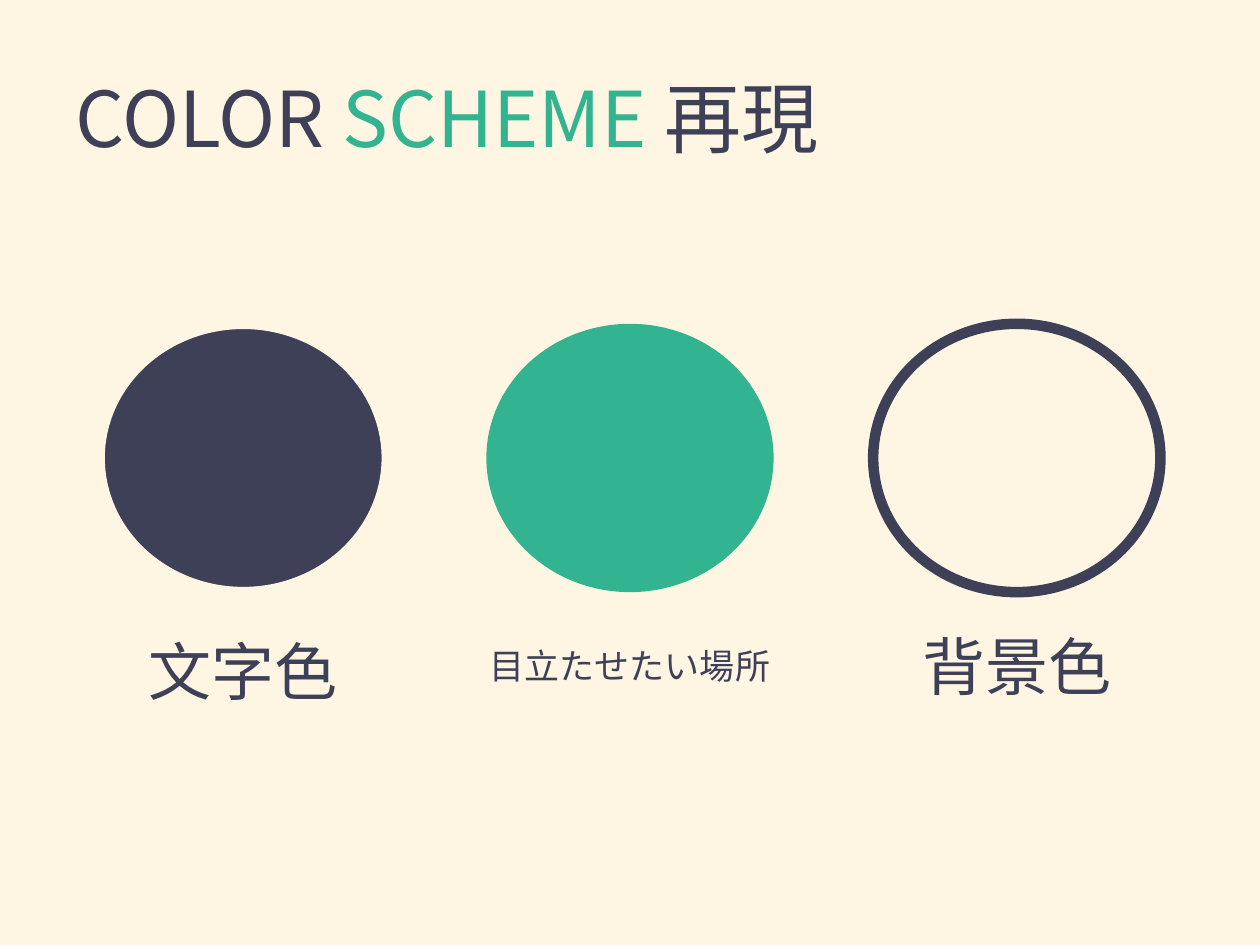
from dataclasses import dataclass
from typing import Optional

from lxml import etree
from pptx import Presentation
from pptx.dml.color import RGBColor
from pptx.enum.shapes import MSO_SHAPE
from pptx.enum.text import MSO_ANCHOR, PP_ALIGN
from pptx.oxml.ns import qn
from pptx.util import Inches, Pt

ELLIPSE = MSO_SHAPE.OVAL
MIDDLE = MSO_ANCHOR.MIDDLE
LEFT, CENTER = PP_ALIGN.LEFT, PP_ALIGN.CENTER


@dataclass(frozen=True)
class Theme:
    """Colours, fonts and type sizes of the slide."""
    ink: RGBColor = RGBColor(0x3E, 0x40, 0x57)
    accent: RGBColor = RGBColor(0x32, 0xB4, 0x90)
    paper: RGBColor = RGBColor(0xFE, 0xF6, 0xE3)
    title_font: str = "Noto Sans CJK JP"
    label_font: str = "Calibri"
    east_asian_font: str = "Noto Sans CJK JP"
    title_size: int = 44
    label_size: int = 36
    long_label_size: int = 20
    outline: int = 6


THEME = Theme()


@dataclass(frozen=True)
class Swatch:
    """A colour circle and the label under it."""
    label: str
    fill: RGBColor
    outline: Optional[RGBColor]
    size: int = THEME.label_size
    label_width: float = 2.09
    label_top: float = 4.77


SWATCHES = (
    Swatch("文字色", THEME.ink, THEME.paper, label_top=4.81),
    Swatch("目立たせたい場所", THEME.accent, None,
           size=THEME.long_label_size, label_width=2.46),
    Swatch("背景色", THEME.paper, THEME.ink),
)
TITLE_RUNS = (("COLOR ", THEME.ink), ("SCHEME ", THEME.accent), ("再現", THEME.ink))

SLIDE_WIDTH, SLIDE_HEIGHT = 10, 7.5
CIRCLE_WIDTH, CIRCLE_HEIGHT, CIRCLE_TOP = 2.28, 2.13, 2.57
CIRCLE_PITCH = 3.07
LABEL_HEIGHT = 1.02


def add_text(shapes, left: float, top: float, width: float, height: float,
             runs, font: str, size: int, align) -> None:
    """Add a vertically centred line of coloured runs."""
    box = shapes.add_textbox(Inches(left), Inches(top), Inches(width), Inches(height))
    frame = box.text_frame
    frame.word_wrap = True
    frame.vertical_anchor = MIDDLE
    line = frame.paragraphs[0]
    line.alignment = align
    for words, color in runs:
        run = line.add_run()
        run.text = words
        run.font.name = font
        run.font.size = Pt(size)
        run.font.color.rgb = color
        east_asian = etree.SubElement(run.font._element, qn("a:ea"))
        east_asian.set("typeface", THEME.east_asian_font)


def add_circle(shapes, center: float, swatch: Swatch) -> None:
    """Add the colour circle of a swatch."""
    circle = shapes.add_shape(ELLIPSE, Inches(center - CIRCLE_WIDTH / 2), Inches(CIRCLE_TOP),
                              Inches(CIRCLE_WIDTH), Inches(CIRCLE_HEIGHT))
    circle.shadow.inherit = False
    circle.fill.solid()
    circle.fill.fore_color.rgb = swatch.fill
    if swatch.outline is None:
        circle.line.fill.background()
    else:
        circle.line.color.rgb = swatch.outline
        circle.line.width = Pt(THEME.outline)


def main() -> None:
    """Build and save the slide."""
    deck = Presentation()
    deck.slide_width, deck.slide_height = Inches(SLIDE_WIDTH), Inches(SLIDE_HEIGHT)
    slide = deck.slides.add_slide(deck.slide_layouts[6])
    slide.background.fill.solid()
    slide.background.fill.fore_color.rgb = THEME.paper

    add_text(slide.shapes, 0.5, 0.3, 9, 1.25, TITLE_RUNS,
             THEME.title_font, THEME.title_size, LEFT)

    centers = [SLIDE_WIDTH / 2 + (i - 1) * CIRCLE_PITCH for i in range(len(SWATCHES))]
    circles = slide.shapes.add_group_shape()
    for center, swatch in zip(centers, SWATCHES):
        add_circle(circles.shapes, center, swatch)
        add_text(slide.shapes, center - swatch.label_width / 2, swatch.label_top,
                 swatch.label_width, LABEL_HEIGHT, ((swatch.label, THEME.ink),),
                 THEME.label_font, swatch.size, CENTER)

    deck.save("out.pptx")


main()
